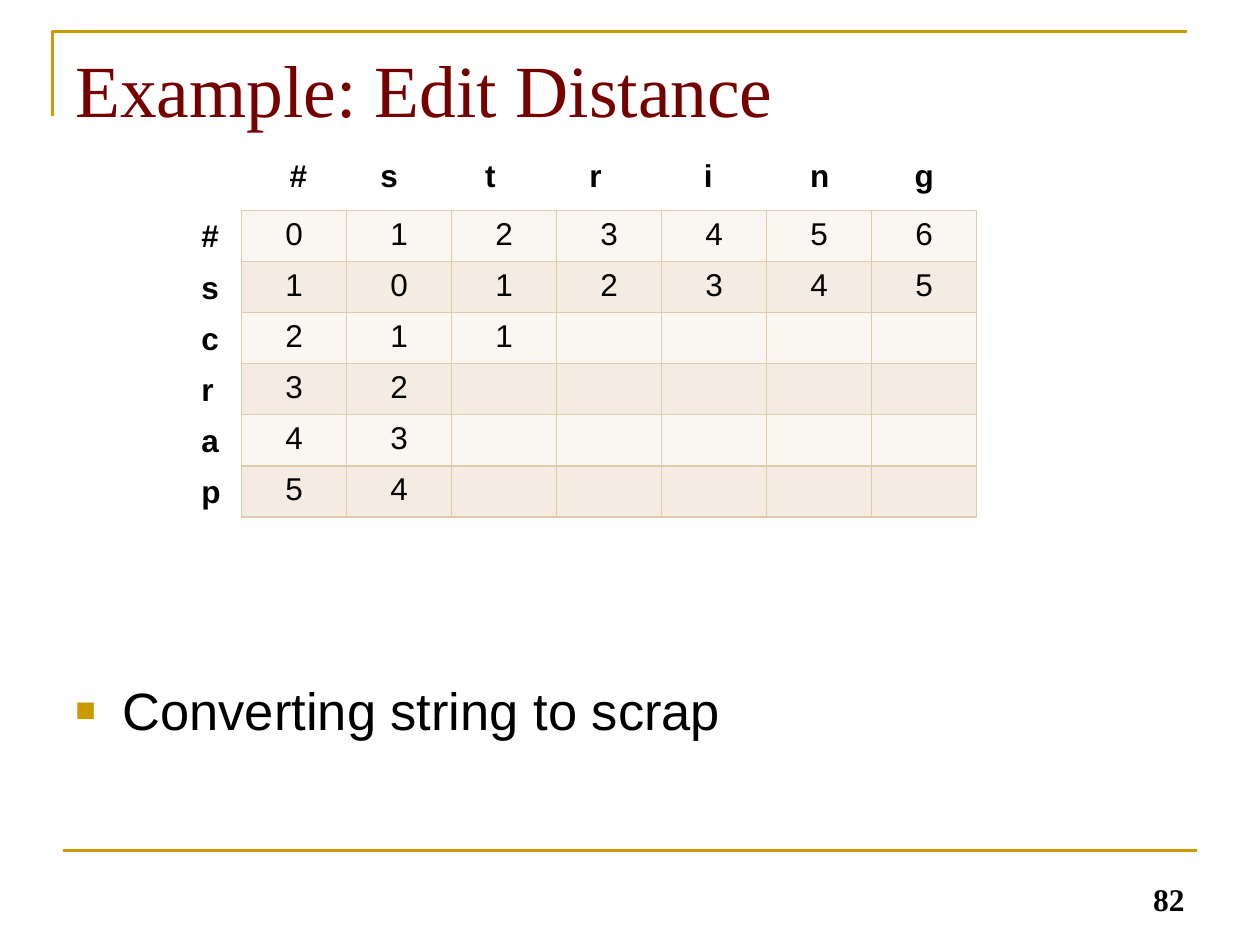
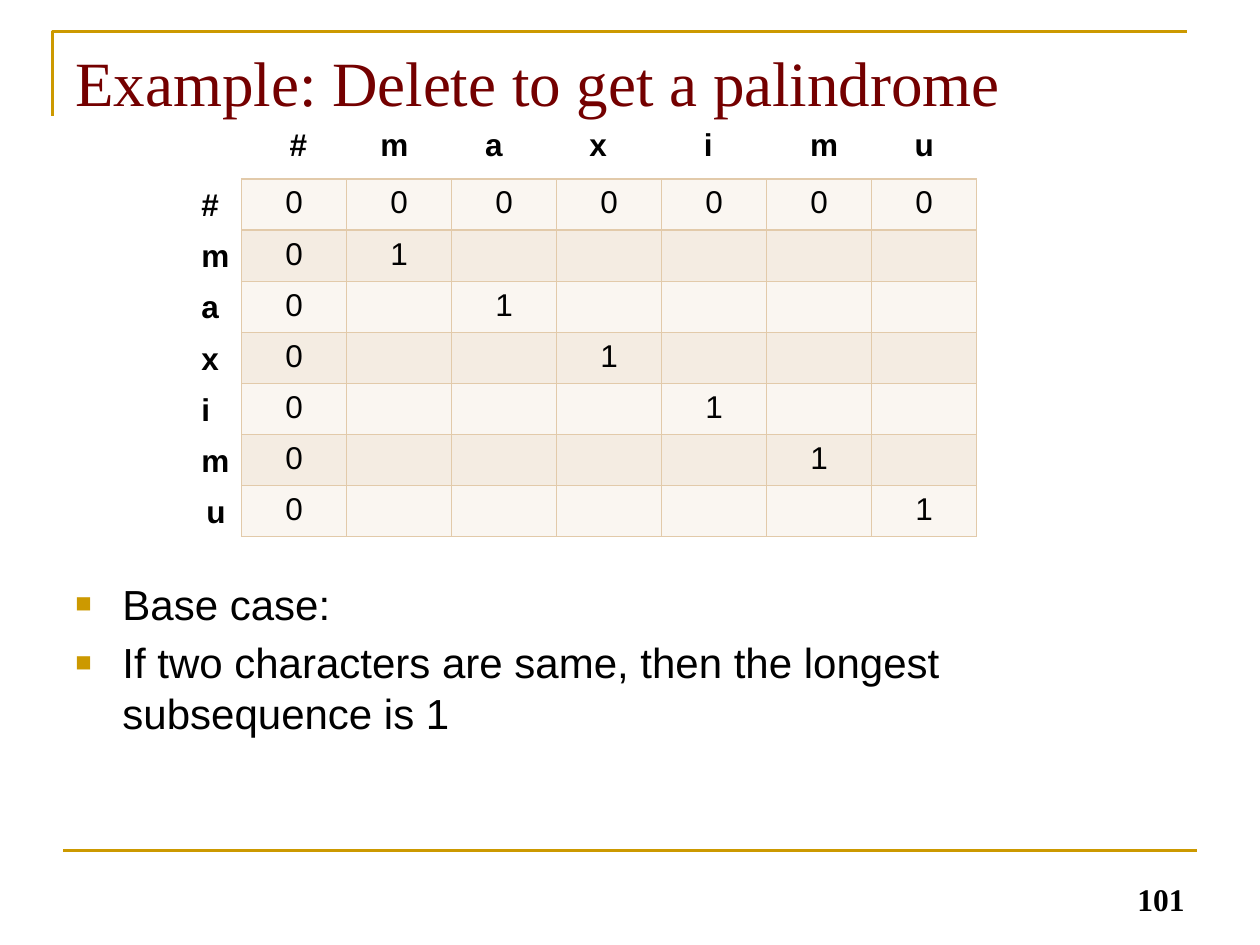
from lxml import etree
from pptx import Presentation
from pptx.dml.color import RGBColor
from pptx.enum.shapes import MSO_CONNECTOR
from pptx.enum.text import MSO_ANCHOR, PP_ALIGN
from pptx.oxml.ns import qn
from pptx.util import Cm, Pt

STRAIGHT = MSO_CONNECTOR.STRAIGHT
TOP, BOTTOM = MSO_ANCHOR.TOP, MSO_ANCHOR.BOTTOM
LEFT, CENTER, RIGHT = PP_ALIGN.LEFT, PP_ALIGN.CENTER, PP_ALIGN.RIGHT

# Shared colours and fonts
GOLD = RGBColor(0xCC, 0x99, 0x00)
MAROON = RGBColor(0x74, 0x00, 0x00)
BLACK = RGBColor(0x00, 0x00, 0x00)
TABLE_BORDER = RGBColor(0xE2, 0xCA, 0xAA)
ROW_FILLS = (RGBColor(0xFA, 0xF6, 0xF1), RGBColor(0xF4, 0xEC, 0xE2))
SERIF = "Times New Roman"
SANS = "Arial"

# Shared grid
MARGIN = Cm(1.27)
CONTENT_WIDTH = Cm(22.86)
TABLE_LEFT = Cm(4.87)
COLUMN_WIDTH = Cm(2.117)
ROW_HEIGHT = Cm(1.03)
LABEL_SIZE = Cm(1.27), Cm(1.02)
COLUMN_LABEL_LEFTS = [Cm(x) for x in (5.59, 7.42, 9.53, 11.63, 13.94, 16.08, 18.19)]
COLUMN_LABEL_RISE = Cm(1.22)
ROW_LABEL_LEFT = Cm(3.81)


def format_paragraph(paragraph, size, font, color=BLACK, bold=False, align=LEFT):
    paragraph.alignment = align
    for run in paragraph.runs:
        run.font.size = Pt(size)
        run.font.name = font
        run.font.color.rgb = color
        run.font.bold = bold


def add_text(slide, box, text, size, font, anchor=TOP, **style):
    text_frame = slide.shapes.add_textbox(*box).text_frame
    text_frame.word_wrap = True
    text_frame.vertical_anchor = anchor
    text_frame.text = text
    for paragraph in text_frame.paragraphs:
        format_paragraph(paragraph, size, font, **style)
    return text_frame


def add_element(parent, tag, **attributes):
    return etree.SubElement(parent, qn(tag), attributes)


def add_frame(slide):
    """Draw the gold corner above the title and the rule above the footer."""
    left, top = Cm(1.06), Cm(0.64)
    builder = slide.shapes.build_freeform(left, Cm(2.33))
    builder.add_line_segments([(left, top), (left + CONTENT_WIDTH, top)], close=False)
    corner = builder.convert_to_shape()
    corner.shadow.inherit = False
    corner.fill.background()

    rule_y = Cm(17.15)
    rule = slide.shapes.add_connector(
        STRAIGHT, MARGIN, rule_y, MARGIN + CONTENT_WIDTH, rule_y)
    add_element(rule._element.spPr, "a:effectLst")

    for shape in (corner, rule):
        shape.line.color.rgb = GOLD
        shape.line.width = Pt(1.5)


def add_bullets(slide, top, lines, size):
    box = MARGIN, top, CONTENT_WIDTH, Cm(3.48)
    text_frame = add_text(slide, box, "\n".join(lines), size, SANS)
    for paragraph in text_frame.paragraphs:
        properties = paragraph._p.get_or_add_pPr()
        properties.set("marL", str(Cm(0.95)))
        properties.set("indent", str(-Cm(0.95)))
        spacing = add_element(properties, "a:spcBef")
        add_element(spacing, "a:spcPct", val="20000")
        bullet_color = add_element(properties, "a:buClr")
        add_element(bullet_color, "a:srgbClr", val=str(GOLD))
        add_element(properties, "a:buSzPct", val="65000")
        add_element(properties, "a:buFont", typeface=SANS)
        add_element(properties, "a:buChar", char="■")


def set_borders(cell):
    properties = cell._tc.get_or_add_tcPr()
    for position, side in enumerate(("a:lnL", "a:lnR", "a:lnT", "a:lnB")):
        line = etree.Element(qn(side), w=str(Pt(1)))
        fill = add_element(line, "a:solidFill")
        add_element(fill, "a:srgbClr", val=str(TABLE_BORDER))
        properties.insert(position, line)


def add_distance_table(slide, top, rows, column_count):
    """Fill each row from the left; None or a missing value stays empty."""
    table = slide.shapes.add_table(
        len(rows), column_count, TABLE_LEFT, top,
        COLUMN_WIDTH * column_count, ROW_HEIGHT * len(rows)).table
    table.first_row = False
    table.horz_banding = False
    for column in table.columns:
        column.width = COLUMN_WIDTH
    for row_index, values in enumerate(rows):
        table.rows[row_index].height = ROW_HEIGHT
        for column_index in range(column_count):
            cell = table.cell(row_index, column_index)
            cell.fill.solid()
            cell.fill.fore_color.rgb = ROW_FILLS[row_index % 2]
            set_borders(cell)
            if column_index < len(values) and values[column_index] is not None:
                cell.text_frame.text = str(values[column_index])
                format_paragraph(cell.text_frame.paragraphs[0], 18, SANS, align=CENTER)


def add_labels(slide, table_top, column_word, row_word, last_row_shift):
    """Put one letter above each column and one beside each row."""
    spots = [(letter, left, table_top - COLUMN_LABEL_RISE)
             for letter, left in zip(column_word, COLUMN_LABEL_LEFTS)]
    last_row = len(row_word) - 1
    for index, letter in enumerate(row_word):
        shift = last_row_shift if index == last_row else 0
        spots.append((letter, ROW_LABEL_LEFT + shift, table_top + index * ROW_HEIGHT))
    for letter, left, top in spots:
        add_text(slide, (left, top, *LABEL_SIZE), letter, 18, SANS, bold=True)


def add_example(presentation, title, title_size, number, table_top, column_word,
                row_word, rows, bullet_top, bullets, bullet_size, last_row_shift=0):
    slide = presentation.slides.add_slide(presentation.slide_layouts[6])
    add_frame(slide)
    add_text(slide, (MARGIN, Cm(0.76), CONTENT_WIDTH, Cm(3.18)),
             title, title_size, SERIF, color=MAROON)
    add_bullets(slide, bullet_top, bullets, bullet_size)
    add_text(slide, (Cm(18.2), Cm(17.36), Cm(5.93), Cm(1.27)),
             number, 18, SERIF, anchor=BOTTOM, bold=True, align=RIGHT)
    add_distance_table(slide, table_top, rows, len(column_word))
    add_labels(slide, table_top, column_word, row_word, last_row_shift)


def main():
    presentation = Presentation()
    presentation.slide_width = Cm(25.4)
    presentation.slide_height = Cm(19.05)

    # Edit distance, partly filled in
    edit_distances = [
        [0, 1, 2, 3, 4, 5, 6],
        [1, 0, 1, 2, 3, 4, 5],
        [2, 1, 1],
        [3, 2],
        [4, 3],
        [5, 4],
    ]
    add_example(presentation, "Example: Edit Distance", 42, "82", Cm(4.24),
                "#string", "#scrap", edit_distances,
                Cm(13.54), ["Converting string to scrap"], 30)

    # Palindrome base case: zeros on the edges, ones on the diagonal
    word = "#maximu"
    base_case = [[0] * len(word)]
    for row in range(1, len(word)):
        base_case.append([0] + [None] * (row - 1) + [1])
    add_example(presentation, "Example: Delete to get a palindrome", 36, "101", Cm(3.61),
                word, word, base_case, Cm(11.53),
                ["Base case:",
                 "If two characters are same, then the longest subsequence is 1"],
                24, last_row_shift=Cm(0.1))

    presentation.save("out.pptx")


if __name__ == "__main__":
    main()
